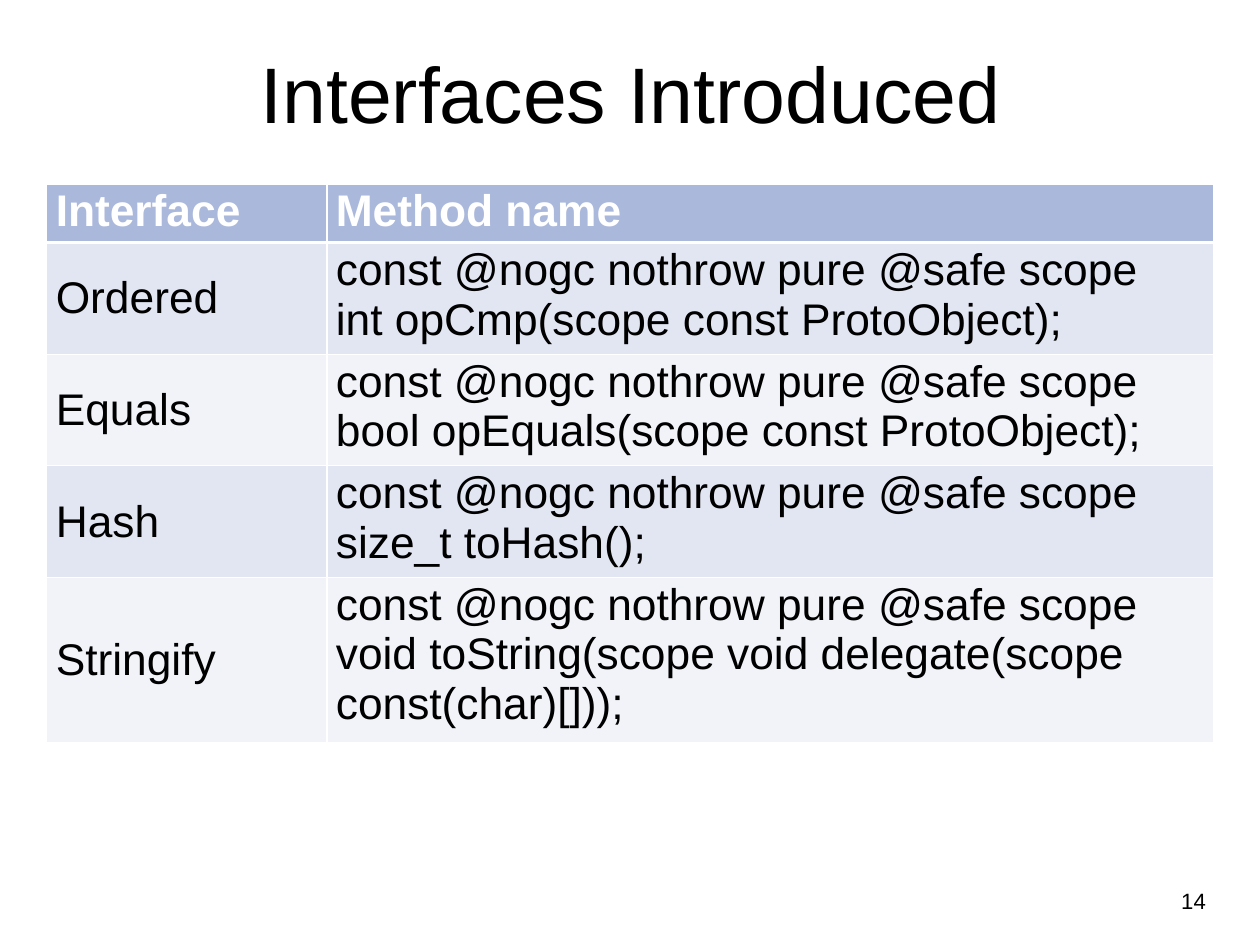
from dataclasses import dataclass

from lxml import etree
from pptx import Presentation
from pptx.dml.color import RGBColor
from pptx.enum.text import MSO_ANCHOR as Anchor, PP_ALIGN as Align
from pptx.oxml.ns import qn
from pptx.util import Inches, Pt


@dataclass(frozen=True)
class Theme:
    font: str = "Arial"
    ink: str = "000000"
    paper: str = "FFFFFF"
    header: str = "AAB8DC"
    bands: tuple = ("E2E6F2", "F1F3F9")
    title_size: int = 64
    table_size: int = 36
    number_size: int = 18


THEME = Theme()
ATTRIBUTES = "const @nogc nothrow pure @safe scope"
METHODS = [
    ("Ordered", "int opCmp(scope const ProtoObject);"),
    ("Equals", "bool opEquals(scope const ProtoObject);"),
    ("Hash", "size_t toHash();"),
    ("Stringify", "void toString(scope void delegate(scope const(char)[]));"),
]
NAME_SHARE = 0.24
ROW_HEIGHTS = [0.64, 1.22, 1.22, 1.22, 1.78]


def write(frame, lines, size, color=THEME.ink, bold=False, align=Align.LEFT):
    for index, line in enumerate(lines):
        para = frame.paragraphs[0] if index == 0 else frame.add_paragraph()
        para.alignment = align
        run = para.add_run()
        run.text = line
        run.font.name = THEME.font
        run.font.size = Pt(size)
        run.font.bold = bold
        run.font.color.rgb = RGBColor.from_string(color)


def place(shape, box):
    shape.left, shape.top, shape.width, shape.height = map(Inches, box)
    frame = shape.text_frame
    frame.margin_left = frame.margin_right = Inches(0.06)
    frame.margin_top = frame.margin_bottom = Inches(0.06)
    return frame


def add_title(page, box):
    frame = place(page.shapes.title, box)
    frame.word_wrap = True
    frame.vertical_anchor = Anchor.MIDDLE
    write(frame, ["Interfaces Introduced"], THEME.title_size, align=Align.CENTER)


def add_page_number(page, box):
    frame = place(page.shapes.add_textbox(*map(Inches, box)), box)
    frame.word_wrap = False
    write(frame, ["14"], THEME.number_size, align=Align.CENTER)


def add_borders(cell, bottom_width):
    properties = cell._tc.get_or_add_tcPr()
    widths = {"a:lnL": 1, "a:lnR": 1, "a:lnT": 1, "a:lnB": bottom_width}
    for index, (tag, width) in enumerate(widths.items()):
        line = etree.Element(qn(tag), w=str(Pt(width)))
        fill = etree.SubElement(line, qn("a:solidFill"))
        etree.SubElement(fill, qn("a:srgbClr"), val=THEME.paper)
        properties.insert(index, line)


def fill_cell(cell, lines, fill, is_header, anchor):
    cell.margin_left = cell.margin_right = Inches(0.1)
    cell.margin_top = cell.margin_bottom = Inches(0.03)
    cell.vertical_anchor = anchor
    cell.fill.solid()
    cell.fill.fore_color.rgb = RGBColor.from_string(fill)
    color = THEME.paper if is_header else THEME.ink
    write(cell.text_frame, lines, THEME.table_size, color, is_header)
    add_borders(cell, 3 if is_header else 1)


def add_interface_table(page, box):
    rows = [(["Interface"], ["Method name"])]
    rows += [([name], [ATTRIBUTES, method]) for name, method in METHODS]
    table = page.shapes.add_table(len(rows), 2, *map(Inches, box)).table
    width = box[2]
    table.columns[0].width = Inches(width * NAME_SHARE)
    table.columns[1].width = Inches(width * (1 - NAME_SHARE))
    for index, row in enumerate(rows):
        table.rows[index].height = Inches(ROW_HEIGHTS[index])
        is_header = index == 0
        fill = THEME.header if is_header else THEME.bands[(index - 1) % 2]
        for column, lines in enumerate(row):
            is_name = column == 0 and not is_header
            anchor = Anchor.MIDDLE if is_name else Anchor.TOP
            fill_cell(table.cell(index, column), lines, fill, is_header, anchor)


def main():
    deck = Presentation()
    deck.slide_width, deck.slide_height = Inches(14.22), Inches(10.67)
    page = deck.slides.add_slide(deck.slide_layouts.get_by_name("Title Only"))
    page.background.fill.solid()
    page.background.fill.fore_color.rgb = RGBColor.from_string(THEME.paper)
    left, width = 0.53, 13.17
    add_title(page, (left, 0.41, width, 1.26))
    add_page_number(page, (left + width - 0.46, 9.96, 0.46, 0.42))
    add_interface_table(page, (left, 2.08, width, sum(ROW_HEIGHTS)))
    deck.save("out.pptx")


if __name__ == "__main__":
    main()
